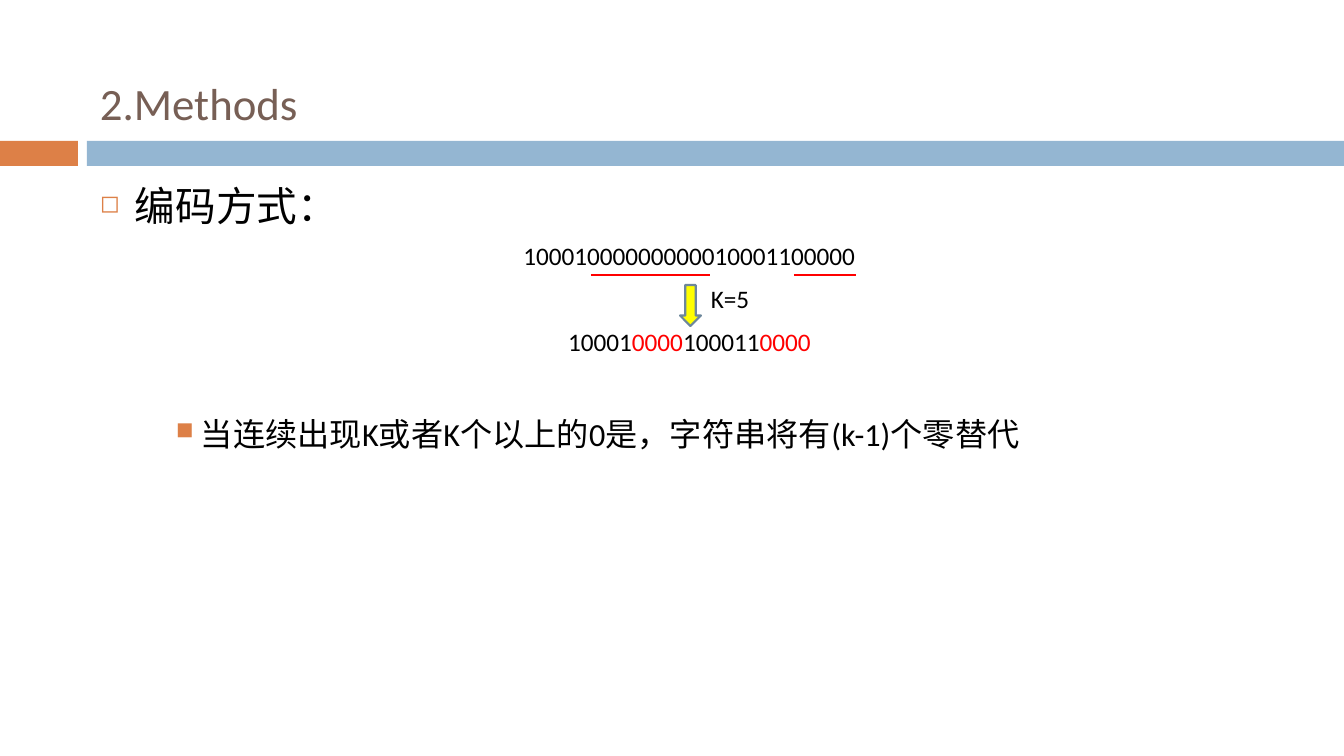
from dataclasses import dataclass

from lxml.etree import SubElement
from pptx import Presentation
from pptx.dml.color import RGBColor as Rgb
from pptx.enum.shapes import MSO_CONNECTOR as Connector, MSO_SHAPE as Preset
from pptx.enum.text import MSO_ANCHOR as Anchor, MSO_AUTO_SIZE as AutoSize, PP_ALIGN as Align
from pptx.oxml.ns import qn
from pptx.util import Emu, Pt

EMU_PER_PIXEL = 914400 / 100.8


@dataclass(frozen=True)
class Theme:
    font: str = "Calibri"
    orange: str = "DD8047"
    blue: str = "94B6D2"
    brown: str = "775F55"
    ink: str = "000000"
    red: str = "FF0000"
    yellow: str = "FFFF00"
    arrow_edge: str = "6D879B"
    title_size: int = 32
    heading_size: int = 29
    detail_size: int = 23
    code_size: int = 18


THEME = Theme()


def px(pixels):
    """Turn pixels into EMU."""
    return Emu(round(pixels * EMU_PER_PIXEL))


def add_preset(slide, preset, box, fill, edge=None):
    """Add a filled preset shape with an optional edge."""
    shape = slide.shapes.add_shape(preset, *map(px, box))
    shape.shadow.inherit = False
    shape.fill.solid()
    shape.fill.fore_color.rgb = Rgb.from_string(fill)
    if edge:
        shape.line.color.rgb = Rgb.from_string(edge)
        shape.line.width = Pt(1.5)
    else:
        shape.line.fill.background()


def add_underline(slide, left, right, y):
    """Add a thin horizontal line below a run of zeros."""
    line = slide.shapes.add_connector(Connector.STRAIGHT, px(left), px(y), px(right), px(y))
    line.line.color.rgb = Rgb.from_string(THEME.red)
    line.line.width = Pt(0.79)
    SubElement(line._element.spPr, qn("a:effectLst"))


def add_frame(slide, box, anchor=Anchor.TOP):
    """Add a wrapping text box and return its text frame."""
    frame = slide.shapes.add_textbox(*map(px, box)).text_frame
    frame.word_wrap = True
    frame.vertical_anchor = anchor
    return frame


def write(paragraph, pieces, size, align=Align.LEFT):
    """Fill a paragraph with (text, colour) pieces."""
    paragraph.alignment = align
    paragraph.font.name = THEME.font
    paragraph.font.size = Pt(size)
    for text, color in pieces:
        run = paragraph.add_run()
        run.text = text
        run.font.color.rgb = Rgb.from_string(color)


def set_bullet(paragraph, mark, percent, margin, hang):
    """Give a paragraph a hanging orange bullet."""
    props = paragraph._p.get_or_add_pPr()
    props.set("marL", str(px(margin)))
    props.set("indent", str(-px(hang)))
    color = SubElement(props, qn("a:buClr"))
    SubElement(color, qn("a:srgbClr"), val=THEME.orange)
    SubElement(props, qn("a:buSzPct"), val=str(percent * 1000))
    SubElement(props, qn("a:buChar"), char=mark)
    defaults = props.find(qn("a:defRPr"))
    if defaults is not None:
        props.append(defaults)


def add_code(slide, box, pieces, align=Align.CENTER):
    """Add one line of the coding example."""
    frame = add_frame(slide, box)
    frame.auto_size = AutoSize.SHAPE_TO_FIT_TEXT
    write(frame.paragraphs[0], pieces, THEME.code_size, align)


def add_body(slide):
    """Add the heading and its detail, with room for the example between."""
    frame = add_frame(slide, (90, 176, 1198, 511))
    heading, detail = frame.paragraphs[0], frame.add_paragraph()
    write(heading, [("编码方式：", THEME.ink)], THEME.heading_size)
    heading.space_before = Pt(7)
    set_bullet(heading, "◻", 60, 35, 35)
    write(detail, [("当连续出现K或者K个以上的0是，字符串将有(k-1)个零替代", THEME.ink)], THEME.detail_size)
    detail.level = 1
    detail.space_before = Pt(132)
    set_bullet(detail, "■", 75, 101, 25)


def add_example(slide):
    """Add the zero-run coding example."""
    ink, red = THEME.ink, THEME.red
    add_code(slide, (500, 235, 379, 40), [("10001000000000010001100000", ink)])
    add_code(slide, (500, 321, 379, 40),
             [("10001", ink), ("0000", red), ("100011", ink), ("0000", red)])
    for left, right in ((591, 710), (794, 856)):
        add_underline(slide, left, right, 275)
    add_preset(slide, Preset.DOWN_ARROW, (680, 285, 21, 41), THEME.yellow, THEME.arrow_edge)
    add_code(slide, (701, 278, 60, 40), [("K=5", ink)], Align.LEFT)


def main():
    """Build and save the slide."""
    deck = Presentation()
    deck.slide_width, deck.slide_height = px(1344), px(756)
    slide = deck.slides.add_slide(deck.slide_layouts[6])
    add_preset(slide, Preset.RECTANGLE, (0, 141, 78, 25), THEME.orange)
    add_preset(slide, Preset.RECTANGLE, (87, 141, 1257, 25), THEME.blue)
    title = add_frame(slide, (90, 25, 1198, 109), Anchor.BOTTOM)
    write(title.paragraphs[0], [("2.Methods", THEME.brown)], THEME.title_size)
    add_body(slide)
    add_example(slide)
    deck.save("out.pptx")


main()
